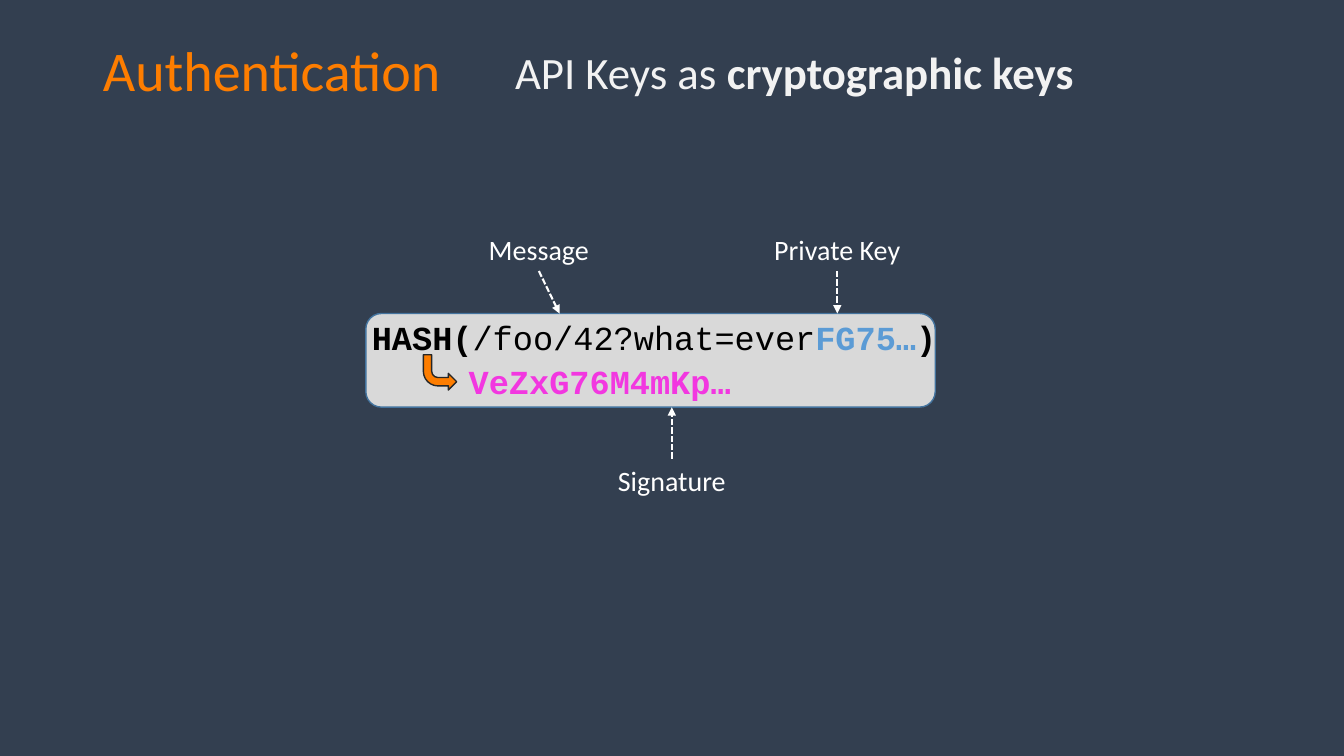
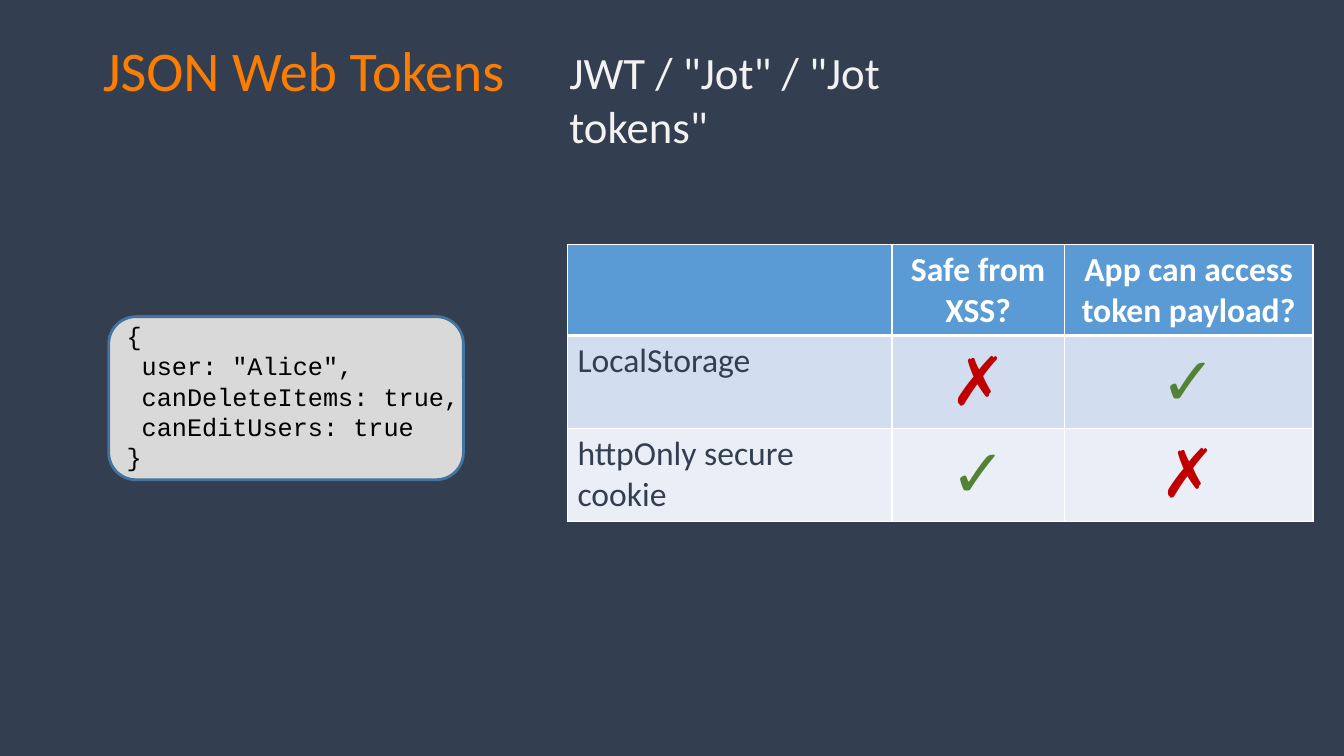
import pptx
import pptx.util
import pptx.dml.color
import pptx.enum.dml
import pptx.enum.shapes
import pptx.enum.text
import pptx.oxml.ns
from lxml import etree

Cm = pptx.util.Cm
Pt = pptx.util.Pt
RGBColor = pptx.dml.color.RGBColor
MSO_SHAPE = pptx.enum.shapes.MSO_SHAPE
PP_ALIGN = pptx.enum.text.PP_ALIGN
MSO_ANCHOR = pptx.enum.text.MSO_ANCHOR
qn = pptx.oxml.ns.qn

# Shared colours and fonts
NAVY = RGBColor(0x33, 0x3F, 0x50)
ORANGE = RGBColor(0xFD, 0x7D, 0x00)
OFF_WHITE = RGBColor(0xF2, 0xF2, 0xF2)
WHITE = RGBColor(0xFF, 0xFF, 0xFF)
BLACK = RGBColor(0x00, 0x00, 0x00)
CHARCOAL = RGBColor(0x26, 0x26, 0x26)
GREY = RGBColor(0xD9, 0xD9, 0xD9)
BLUE = RGBColor(0x5B, 0x9B, 0xD5)
DARK_BLUE = RGBColor(0x43, 0x73, 0x9E)
PINK = RGBColor(0xF2, 0x37, 0xE0)
RED = RGBColor(0xC0, 0x00, 0x00)
GREEN = RGBColor(0x54, 0x82, 0x35)
BAND_DARK = RGBColor(0xD2, 0xDE, 0xEF)
BAND_LIGHT = RGBColor(0xEA, 0xEF, 0xF7)
BODY_FONT = "Calibri"
CODE_FONT = "Courier New"
MARK_COLORS = {"✗": RED, "✓": GREEN}


def style_font(font, size, color, bold=False, name=BODY_FONT):
    font.name = name
    font.size = Pt(size)
    font.bold = bold
    font.color.rgb = color


def add_text(slide, left, top, width, height, runs, size, name=BODY_FONT,
             align=PP_ALIGN.LEFT):
    """Add a one-paragraph text box from (text, colour, bold) runs."""
    box = slide.shapes.add_textbox(left, top, width, height)
    box.text_frame.word_wrap = True
    paragraph = box.text_frame.paragraphs[0]
    paragraph.alignment = align
    for text, color, bold in runs:
        run = paragraph.add_run()
        run.text = text
        style_font(run.font, size, color, bold, name)


def add_shape(slide, kind, left, top, width, height, fill, line, line_width):
    shape = slide.shapes.add_shape(kind, left, top, width, height)
    shape.shadow.inherit = False
    shape.fill.solid()
    shape.fill.fore_color.rgb = fill
    shape.line.color.rgb = line
    shape.line.width = Pt(line_width)
    return shape


def add_dashed_arrow(slide, start, end):
    arrow = slide.shapes.add_connector(
        pptx.enum.shapes.MSO_CONNECTOR.STRAIGHT, *start, *end)
    arrow.line.color.rgb = WHITE
    arrow.line.width = Pt(1.5)
    arrow.line.dash_style = pptx.enum.dml.MSO_LINE.SQUARE_DOT
    properties = arrow._element.spPr
    etree.SubElement(properties.find(qn("a:ln")), qn("a:tailEnd"), type="triangle")
    etree.SubElement(properties, qn("a:effectLst"))


def add_titled_slide(presentation, title, subtitle_runs, subtitle_left, subtitle_width):
    """Add a slide with an orange title and a subtitle beside it."""
    slide = presentation.slides.add_slide(presentation.slide_layouts[5])
    shape = slide.shapes.title
    shape.left, shape.top, shape.width, shape.height = Cm(2.34), Cm(0.76), Cm(17.7), Cm(1.96)
    frame = shape.text_frame
    frame.text = title
    frame.auto_size = pptx.enum.text.MSO_AUTO_SIZE.NONE
    frame.vertical_anchor = MSO_ANCHOR.TOP
    paragraph = frame.paragraphs[0]
    paragraph.alignment = PP_ALIGN.LEFT
    style_font(paragraph.runs[0].font, 40, ORANGE)
    add_text(slide, subtitle_left, Cm(1), subtitle_width, Cm(1.63), subtitle_runs, 32)
    return slide


def add_hash_diagram(slide, left, top, width, height):
    add_shape(slide, MSO_SHAPE.ROUNDED_RECTANGLE, left, top, width, height,
              GREY, DARK_BLUE, 1)
    # Hash call on one line, with its result below
    add_text(slide, left - Cm(0.1), top - Cm(0.03), width + Cm(1.4), Cm(1.27),
             [("HASH(", BLACK, True), ("/foo/42?what=ever", BLACK, False),
              ("FG75…", BLUE, True), (")", BLACK, True)],
             24, CODE_FONT)
    add_text(slide, left + Cm(2.34), top + Cm(1.07), Cm(9.3), Cm(1.27),
             [("VeZxG76M4mKp…", PINK, True)], 24, CODE_FONT)
    bent_arrow = add_shape(slide, MSO_SHAPE.BENT_ARROW, left + Cm(1.45), top + Cm(1.04),
                           Cm(0.84), Cm(0.89), ORANGE, CHARCOAL, 1)
    bent_arrow._element.spPr.find(qn("a:xfrm")).set("flipV", "1")

    # Labels: text, label centre, arrow tip, above the panel or below it
    label_width = Cm(5)
    bottom = top + height
    for text, centre, tip, above in (("Message", 4.36, 4.88, True),
                                     ("Private Key", 11.88, 11.88, True),
                                     ("Signature", 7.71, 7.71, False)):
        label_top = top - Cm(2.16) if above else bottom + Cm(1.3)
        arrow_start = top - Cm(1.07) if above else bottom + Cm(1.3)
        add_text(slide, left + Cm(centre) - label_width // 2, label_top, label_width,
                 Cm(1.12), [(text, WHITE, False)], 20, align=PP_ALIGN.CENTER)
        add_dashed_arrow(slide, (left + Cm(centre), arrow_start),
                         (left + Cm(tip), top if above else bottom))


def add_code_panel(slide, left, top, width, height, code):
    add_shape(slide, MSO_SHAPE.ROUNDED_RECTANGLE, left, top, width, height,
              GREY, DARK_BLUE, 2)
    # The code box reaches past the panel so that the longest line stays whole
    box = slide.shapes.add_textbox(left + Cm(0.2), top - Cm(0.03), width + Cm(0.3), height)
    frame = box.text_frame
    frame.text = code
    frame.word_wrap = True
    for paragraph in frame.paragraphs:
        style_font(paragraph.runs[0].font, 18, BLACK, name=CODE_FONT)


def set_cell_borders(cell, bottom_width, top_width):
    properties = cell._tc.get_or_add_tcPr()
    for side, width in (("L", 1), ("R", 1), ("T", top_width), ("B", bottom_width)):
        line = etree.SubElement(properties, qn("a:ln" + side), w=str(Pt(width)))
        fill = etree.SubElement(line, qn("a:solidFill"))
        etree.SubElement(fill, qn("a:srgbClr"), val=str(WHITE))


def add_comparison_table(slide, left, top, column_widths, row_heights, rows):
    table = slide.shapes.add_table(len(rows), len(column_widths), left, top,
                                   sum(column_widths), sum(row_heights)).table
    for column, width in zip(table.columns, column_widths):
        column.width = width
    for row, height in zip(table.rows, row_heights):
        row.height = height
    for row_index, (fill, texts) in enumerate(rows):
        is_header = row_index == 0
        for column_index, text in enumerate(texts):
            cell = table.cell(row_index, column_index)
            set_cell_borders(cell, 3 if is_header else 1, 3 if row_index == 1 else 1)
            cell.fill.solid()
            cell.fill.fore_color.rgb = fill
            cell.text_frame.text = text
            centred = column_index > 0
            if centred:
                cell.vertical_anchor = MSO_ANCHOR.MIDDLE
            color = WHITE if is_header else MARK_COLORS.get(text, NAVY)
            size = 48 if text in MARK_COLORS else 24
            for paragraph in cell.text_frame.paragraphs:
                paragraph.alignment = PP_ALIGN.CENTER if centred else PP_ALIGN.LEFT
                for run in paragraph.runs:
                    style_font(run.font, size, color, is_header)


def build_authentication_slide(presentation):
    slide = add_titled_slide(
        presentation, "Authentication",
        [("API Keys as ", OFF_WHITE, False), ("cryptographic keys", OFF_WHITE, True)],
        Cm(12.73), Cm(15.42))
    add_hash_diagram(slide, Cm(9.22), Cm(7.9), Cm(14.35), Cm(2.36))


def build_token_slide(presentation):
    slide = add_titled_slide(
        presentation, "JSON Web Tokens",
        [('JWT / "Jot" / "Jot tokens"', OFF_WHITE, False)], Cm(14.1), Cm(11.6))
    add_code_panel(slide, Cm(2.74), Cm(7.98), Cm(8.94), Cm(4.11),
                   '{\n user: "Alice",\n canDeleteItems: true,\n canEditUsers: true\n}')
    add_comparison_table(
        slide, Cm(14.3), Cm(6.17),
        [Cm(8.18), Cm(4.34), Cm(6.27)], [Cm(2.28), Cm(2.34), Cm(2.34)],
        [(BLUE, ("", "Safe from\nXSS?", "App can access token payload?")),
         (BAND_DARK, ("LocalStorage", "✗", "✓")),
         (BAND_LIGHT, ("httpOnly secure cookie", "✓", "✗"))])


def main():
    presentation = pptx.Presentation()
    presentation.slide_width = Cm(33.87)
    presentation.slide_height = Cm(19.05)
    background = presentation.slide_master.background.fill
    background.solid()
    background.fore_color.rgb = NAVY
    build_authentication_slide(presentation)
    build_token_slide(presentation)
    presentation.save("out.pptx")


if __name__ == "__main__":
    main()
